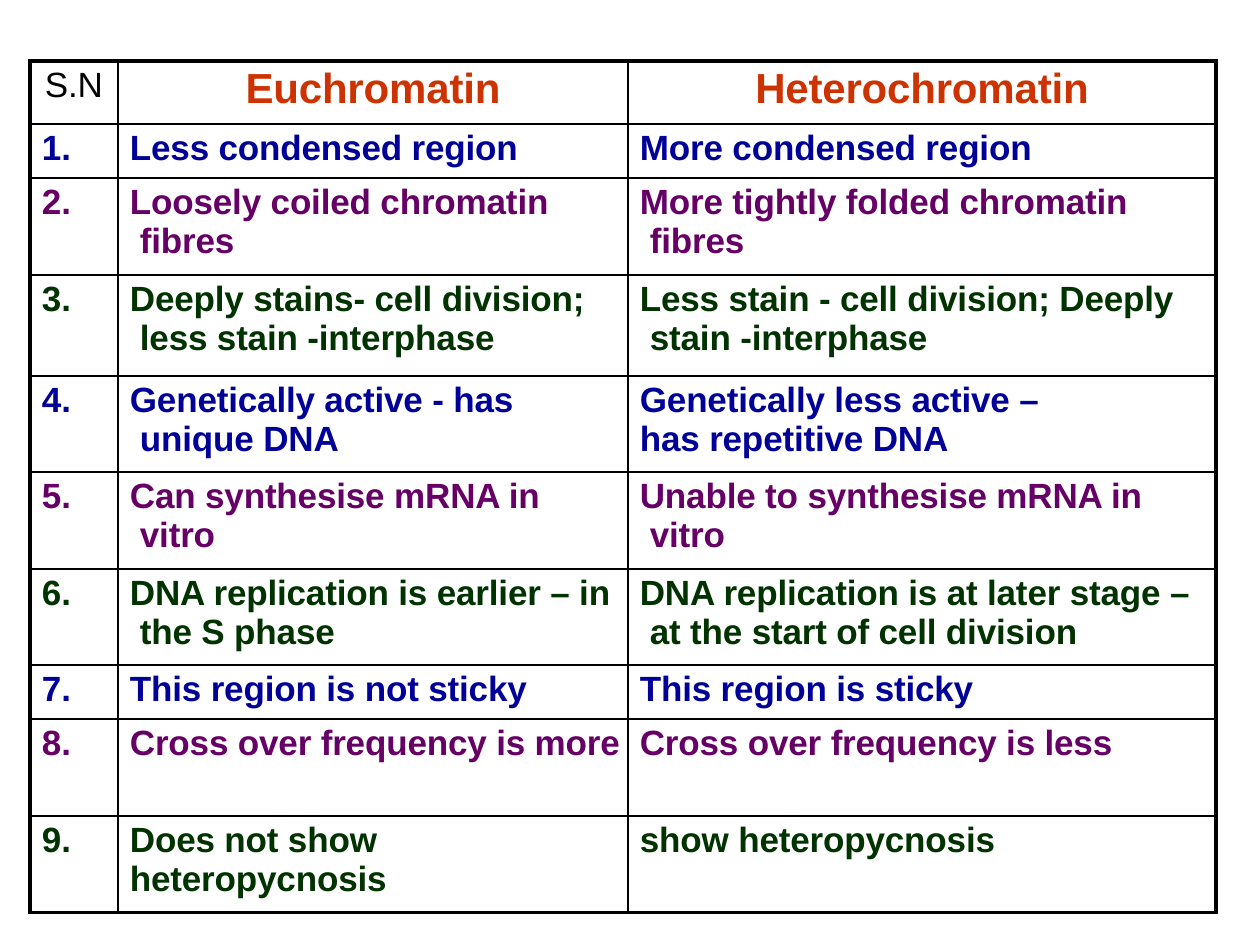
from lxml.etree import SubElement
from pptx import Presentation
from pptx.dml.color import RGBColor
from pptx.enum.text import PP_ALIGN
from pptx.oxml.ns import qn
from pptx.util import Pt

SCALE = 914400 // 126
COLORS = {"line": "000000", "head": "CC3300", "blue": "000099",
          "plum": "660066", "green": "003300"}
CYCLE = ["blue", "plum", "green"]
COLS = [88, 510, 588]
ROWS = [63, 54, 97, 101, 96, 97, 96, 54, 97, 97]
HEADS = ["S.N", "Euchromatin", "Heterochromatin"]
# A "\v" is a forced line break; its lines have no hanging indent.
PAIRS = [
    ("Less condensed region", "More condensed region"),
    ("Loosely coiled chromatin fibres",
     "More tightly folded chromatin fibres"),
    ("Deeply stains- cell division; less stain -interphase",
     "Less stain - cell division; Deeply stain -interphase"),
    ("Genetically active - has unique DNA",
     "Genetically less active –\vhas repetitive DNA"),
    ("Can synthesise mRNA in vitro", "Unable to synthesise mRNA in vitro"),
    ("DNA replication is earlier – in the S phase",
     "DNA replication is at later stage – at the start of cell division"),
    ("This region is not sticky", "This region is sticky"),
    ("Cross over frequency is more", "Cross over frequency is less"),
    ("Does not show\vheteropycnosis", "show heteropycnosis"),
]


def px(count):
    """Turn pixels into EMU."""
    return count * SCALE


def edge(cell, heavy):
    """Draw the four borders, thick on the sides named in heavy."""
    props = cell._tc.get_or_add_tcPr()
    for side in "LRTB":
        width = Pt(2.25) if side in heavy else Pt(1)
        line = SubElement(props, qn(f"a:ln{side}"), w=str(width))
        fill = SubElement(line, qn("a:solidFill"))
        SubElement(fill, qn("a:srgbClr"), val=COLORS["line"])


def write(cell, text, color, size=20, bold=True, head=False):
    """Put styled text into a cell."""
    cell.margin_left = px(0 if head else 12)
    cell.margin_right = px(0 if head else 8)
    cell.margin_top, cell.margin_bottom = px(5), 0
    cell.text = text
    para = cell.text_frame.paragraphs[0]
    para.alignment = PP_ALIGN.CENTER if head else PP_ALIGN.LEFT
    para.space_before = Pt(3)
    font = para.font
    font.name, font.size, font.bold = "Arial", Pt(size), bold
    font.color.rgb = RGBColor.from_string(COLORS[color])
    props = para._p.get_or_add_pPr()
    props.find(qn("a:defRPr")).set("spc", "-10")
    if not head and "\v" not in text:
        props.set("marL", str(px(10)))
        props.set("indent", str(px(-10)))


def grid(slide, left, top):
    """Build the comparison table with its corner at left, top."""
    frame = slide.shapes.add_table(len(ROWS), len(COLS), px(left), px(top),
                                   px(sum(COLS)), px(sum(ROWS)))
    table = frame.table
    table.first_row = table.horz_banding = False
    for col, width in zip(table.columns, COLS):
        col.width = px(width)
    for row, height in zip(table.rows, ROWS):
        row.height = px(height)

    for c, text in enumerate(HEADS):
        if c:
            write(table.cell(0, c), text, "head", size=24, head=True)
        else:
            write(table.cell(0, c), text, "line", bold=False, head=True)
    for r, pair in enumerate(PAIRS, 1):
        color = CYCLE[(r - 1) % len(CYCLE)]
        for c, text in enumerate((f"{r}.", *pair)):
            write(table.cell(r, c), text, color)

    for r in range(len(ROWS)):
        for c in range(len(COLS)):
            outer = {"L": c == 0, "R": c == len(COLS) - 1,
                     "T": r == 0, "B": r == len(ROWS) - 1}
            cell = table.cell(r, c)
            edge(cell, [side for side, on in outer.items() if on])
            cell.fill.background()


deck = Presentation()
deck.slide_width, deck.slide_height = px(1260), px(945)
page = deck.slides.add_slide(deck.slide_layouts[6])
grid(page, 30, 61)
deck.save("out.pptx")
